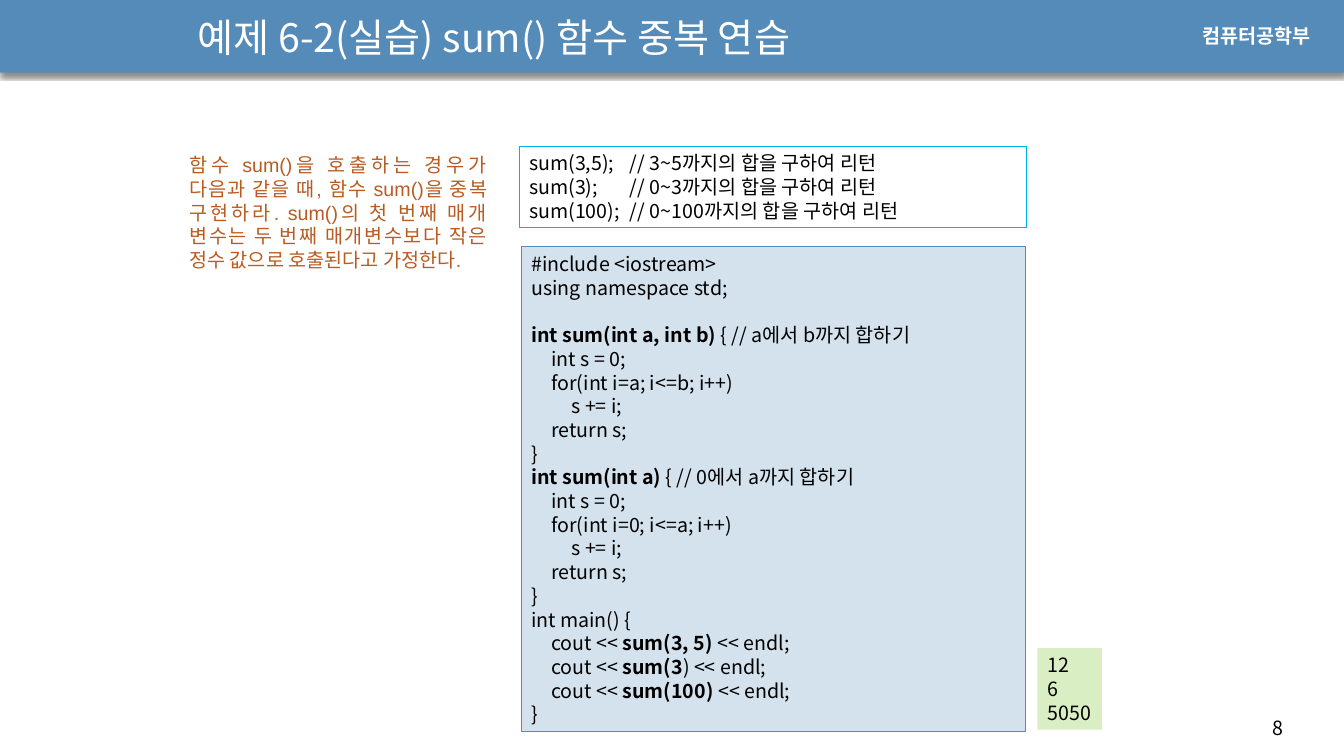
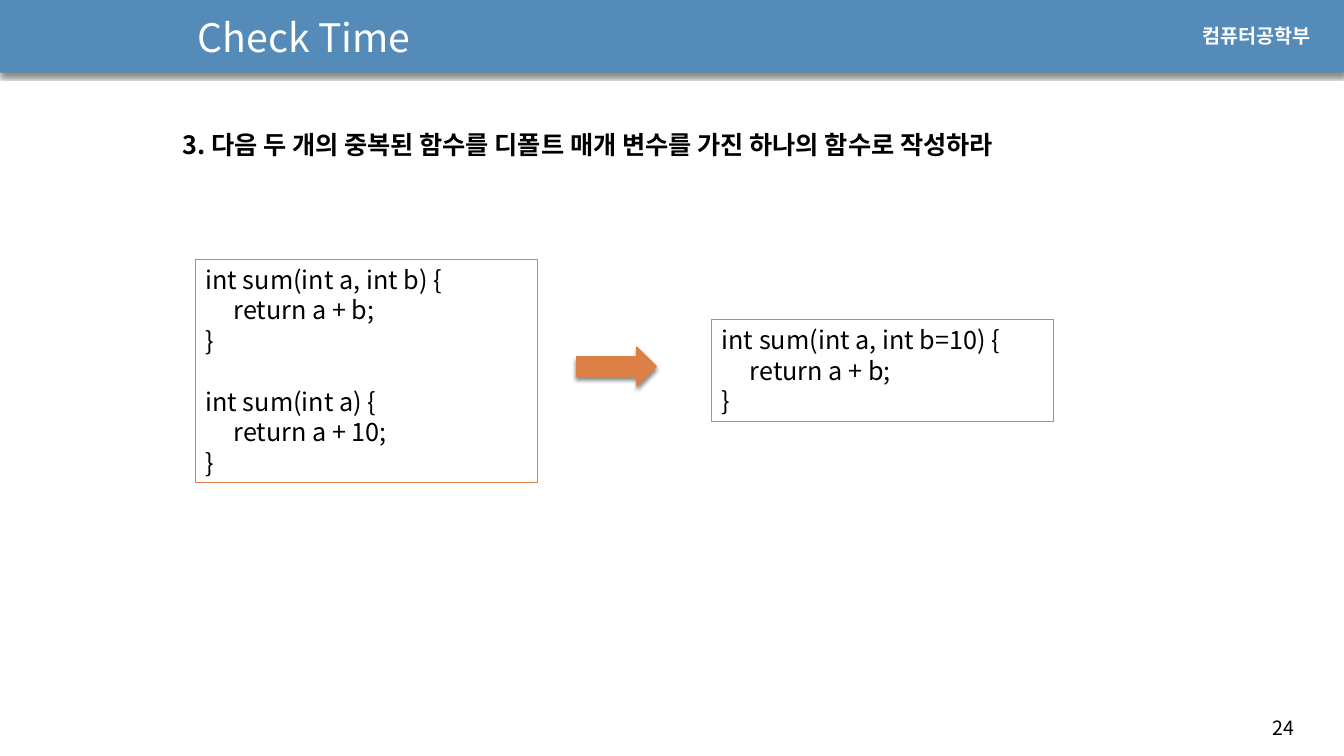
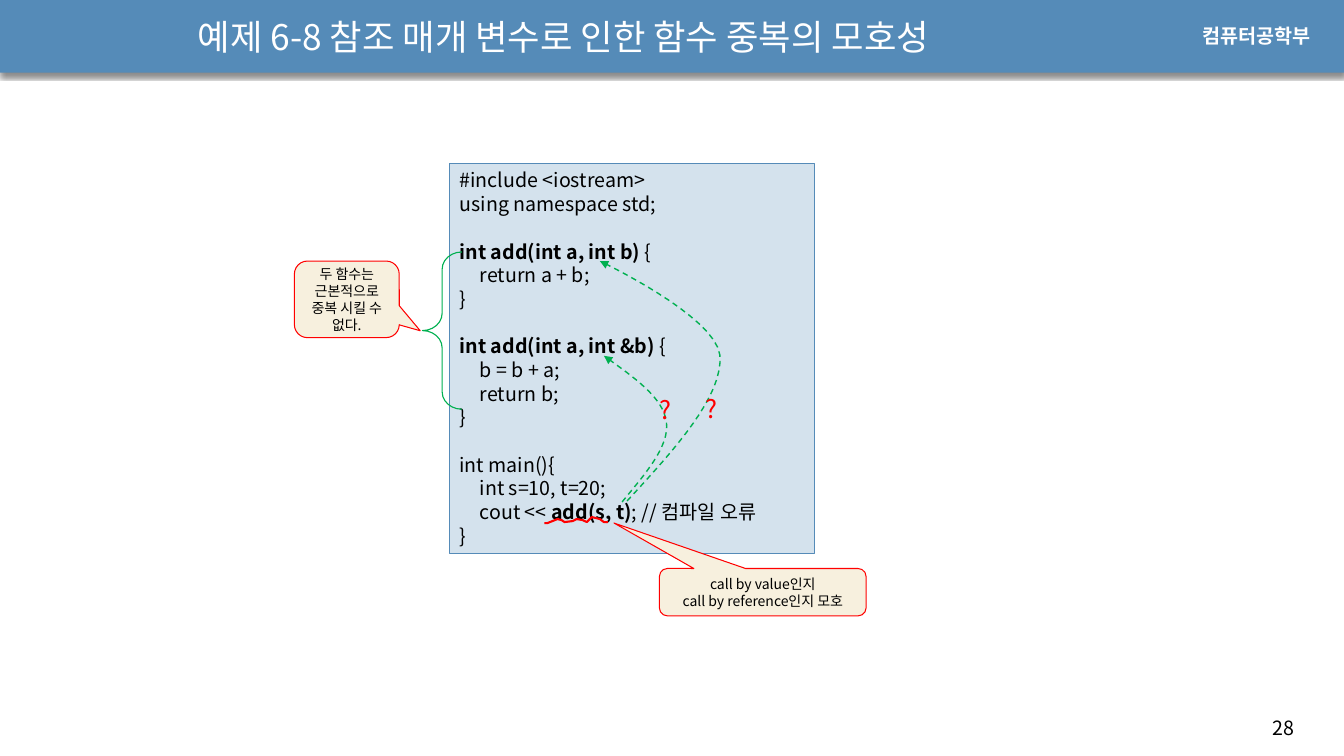
from pptx import Presentation
from pptx.dml.color import RGBColor
from pptx.enum.dml import MSO_LINE
from pptx.enum.shapes import MSO_SHAPE
from pptx.enum.text import MSO_ANCHOR, MSO_AUTO_SIZE, PP_ALIGN
from pptx.oxml import parse_xml
from pptx.oxml.ns import nsdecls
from pptx.util import Inches, Pt

FONT = "Noto Sans CJK KR"
BLACK, WHITE, RED, GREEN = "000000", "FFFFFF", "FF0000", "00B050"
BLUE, PALE_BLUE, SKY = "558BB8", "D4E2ED", "00B0F0"
ORANGE, RUST, CREAM, LIME = "DD8047", "B95B22", "F7F0DE", "DAEEC4"
LINE_PITCH = 1.21
CURVE_STEPS = 16


def color(value):
    """Turn a hex string into a colour."""
    return RGBColor.from_string(value)


def bezier(start, first, second, end):
    """Return the points of a cubic curve after its start."""
    points = []
    for step in range(1, CURVE_STEPS + 1):
        t = step / CURVE_STEPS
        weights = ((1 - t) ** 3, 3 * t * (1 - t) ** 2, 3 * t * t * (1 - t), t ** 3)
        corners = (start, first, second, end)
        points.append(tuple(sum(w * c[axis] for w, c in zip(weights, corners))
                            for axis in (0, 1)))
    return points


class Lecture:
    """The lecture style and the slide being built."""

    def __init__(self):
        """Start an empty wide deck."""
        self.deck = Presentation()
        self.deck.slide_width = Inches(13.33)
        self.deck.slide_height = Inches(7.5)
        self.slide = None

    def begin(self, title, number, width=7.4, size=28):
        """Add a slide with its band, title, department and number."""
        self.slide = self.deck.slides.add_slide(self.deck.slide_layouts[5])
        holder = self.slide.shapes.title
        holder.left, holder.top = Inches(1.86), Inches(0.05)
        holder.width, holder.height = Inches(width), Inches(0.63)
        self.set_lines(holder, [title], size, WHITE, anchor=MSO_ANCHOR.MIDDLE, pitch=None)
        band = self.shape((0, -0.01, 13.33, 0.73), fill=BLUE, shadow=True)
        holder.element.addprevious(band.element)
        self.text((12.52, 7.05, 0.71, 0.34), [str(number)])
        self.text((11.83, 0.19, 1.37, 0.34), ["**컴퓨터공학부**"], ink=WHITE, font="Arial")

    def set_lines(self, box, lines, size=14, ink=BLACK, font=FONT, align=PP_ALIGN.LEFT,
                  anchor=MSO_ANCHOR.TOP, wrap=True, tabs=(), pitch=LINE_PITCH):
        """Fill a box with lines; ** marks bold and an empty line leaves a gap."""
        frame = box.text_frame
        frame.word_wrap = wrap
        frame.auto_size = MSO_AUTO_SIZE.NONE
        frame.vertical_anchor = anchor
        gap = False
        for index, line in enumerate(lines):
            if not line:
                gap = True
                continue
            para = frame.add_paragraph() if index else frame.paragraphs[0]
            if tabs:
                stops = "".join(f'<a:tab pos="{Inches(stop)}" algn="l"/>' for stop in tabs)
                para._p.get_or_add_pPr().append(
                    parse_xml(f'<a:tabLst {nsdecls("a")}>{stops}</a:tabLst>'))
            para.alignment = align
            if pitch:
                para.line_spacing = Pt(size * pitch)
            if gap:
                para.space_before = Pt(size * pitch)
                gap = False
            for part, words in enumerate(line.split("**")):
                if words:
                    self.span(para, words, size, ink, font, part % 2 == 1)

    def span(self, para, words, size, ink, font, bold):
        """Add one formatted run."""
        span = para.add_run()
        span.text = words
        span.font.size = Pt(size)
        span.font.bold = bold
        span.font.color.rgb = color(ink)
        span.font.name = font
        span._r.get_or_add_rPr().append(
            parse_xml(f'<a:ea {nsdecls("a")} typeface="{FONT}"/>'))

    def text(self, place, lines, **style):
        """Add a plain text box."""
        box = self.slide.shapes.add_textbox(*map(Inches, place))
        self.set_lines(box, lines, **style)

    def paint(self, shape, fill, line, weight):
        """Set the fill and outline of a shape without a shadow."""
        shape.shadow.inherit = False
        if fill:
            shape.fill.solid()
            shape.fill.fore_color.rgb = color(fill)
        else:
            shape.fill.background()
        if line:
            shape.line.color.rgb = color(line)
            shape.line.width = Pt(weight)
        else:
            shape.line.fill.background()

    def shape(self, place, kind=MSO_SHAPE.RECTANGLE, fill=None, line=None, weight=0.75,
              adjust=(), shadow=False):
        """Add a preset shape."""
        shape = self.slide.shapes.add_shape(kind, *map(Inches, place))
        for index, value in enumerate(adjust):
            shape.adjustments[index] = value
        self.paint(shape, fill, line, weight)
        if shadow:
            effects = shape.element.spPr.find("{*}effectLst")
            effects.append(parse_xml(
                f'<a:outerShdw {nsdecls("a")} blurRad="{Pt(3)}" dist="{Pt(2.4)}" '
                'dir="5400000" rotWithShape="0"><a:srgbClr val="000000">'
                '<a:alpha val="45000"/></a:srgbClr></a:outerShdw>'))
        return shape

    def panel(self, place, lines, fill=None, line=None, weight=0.75, **style):
        """Add a rectangle holding lines of text."""
        self.set_lines(self.shape(place, fill=fill, line=line, weight=weight), lines, **style)

    def listing(self, place, lines):
        """Add a blue panel of code."""
        self.panel(place, lines, PALE_BLUE, BLUE, tabs=(0.2, 0.4))

    def callout(self, place, lines, adjust):
        """Add a cream speech callout."""
        shape = self.shape(place, MSO_SHAPE.ROUNDED_RECTANGULAR_CALLOUT, CREAM, RED,
                           adjust=adjust)
        self.set_lines(shape, lines, 10, align=PP_ALIGN.CENTER, anchor=MSO_ANCHOR.MIDDLE)

    def stroke(self, points, line, weight):
        """Draw an open outline through points."""
        spots = [(Inches(x), Inches(y)) for x, y in points]
        builder = self.slide.shapes.build_freeform(*spots[0])
        builder.add_line_segments(spots[1:], close=False)
        shape = builder.convert_to_shape()
        self.paint(shape, None, line, weight)
        return shape

    def curved_arrow(self, start, *curves):
        """Draw a dashed green arrow along cubic curves."""
        points = [start]
        for curve in curves:
            points += bezier(points[-1], *curve)
        shape = self.stroke(points, GREEN, 1)
        shape.line.dash_style = MSO_LINE.DASH
        shape.line._get_or_add_ln().append(
            parse_xml(f'<a:tailEnd {nsdecls("a")} type="triangle"/>'))


def overload_practice(lecture):
    """Build the sum() exercise."""
    lecture.begin("예제 6-2(실습) sum() 함수 중복 연습", 8)
    lecture.panel((5.15, 1.45, 5.03, 0.81), [
        "sum(3,5);\t// 3~5까지의 합을 구하여 리턴",
        "sum(3);\t// 0~3까지의 합을 구하여 리턴",
        "sum(100);\t// 0~100까지의 합을 구하여 리턴",
    ], line=SKY, tabs=(1,))
    lecture.listing((5.17, 2.45, 5, 4.81), [
        "#include <iostream>",
        "using namespace std;",
        "",
        "**int sum(int a, int b) **{ // a에서 b까지 합하기",
        "\tint s = 0;",
        "\tfor(int i=a; i<=b; i++)",
        "\t\ts += i;",
        "\treturn s;",
        "}",
        "**int sum(int a) **{ // 0에서 a까지 합하기",
        "\tint s = 0;",
        "\tfor(int i=0; i<=a; i++)",
        "\t\ts += i;",
        "\treturn s;",
        "}",
        "int main() {",
        "\tcout << **sum(3, 5) **<< endl;",
        "\tcout << **sum(3**) << endl;",
        "\tcout << **sum(100) **<< endl;",
        "}",
    ])
    lecture.panel((10.29, 6.43, 0.64, 0.81), ["12", "6", "5050"], LIME, wrap=False)
    lecture.text((1.78, 1.47, 3.15, 1.51), [
        "함수 sum()을 호출하는 경우가 다음과 같을 때, 함수 sum()을 중복 구현하라. "
        "sum()의 첫 번째 매개 변수는 두 번째 매개변수보다 작은 정수 값으로 호출된다고 가정한다.",
    ], ink=RUST, font="Arial", align=PP_ALIGN.JUSTIFY)


def default_parameter(lecture):
    """Build the default parameter check."""
    lecture.begin("Check Time", 24)
    lecture.text((1.71, 1.23, 9.84, 0.55), [
        "**3. 다음 두 개의 중복된 함수를 디폴트 매개 변수를 가진 하나의 함수로 작성하라**",
    ], size=18)
    lecture.panel((1.94, 2.57, 3.39, 2.22), [
        "int sum(int a, int b) {",
        "     return a + b;",
        "}",
        "",
        "int sum(int a) {",
        "     return a + 10;",
        "}",
    ], WHITE, ORANGE, 0.5, size=18)
    lecture.panel((7.06, 3.17, 3.39, 1.01), [
        "int sum(int a, int b=10) {",
        "     return a + b;",
        "}",
    ], WHITE, ORANGE, 0.5, size=18)
    lecture.shape((5.72, 3.44, 0.79, 0.39), MSO_SHAPE.RIGHT_ARROW, ORANGE, ORANGE, 0.79,
                  shadow=True)


def reference_ambiguity(lecture):
    """Build the ambiguous reference example."""
    lecture.begin("예제 6-8 참조 매개 변수로 인한 함수 중복의 모호성", 28, 8.66, 25.2)
    lecture.listing((4.46, 1.62, 3.62, 3.87), [
        "#include <iostream>",
        "using namespace std;",
        "",
        "**int add(int a, int b) **{",
        "\treturn a + b;",
        "}",
        "",
        "**int add(int a, int &b) **{",
        "\tb = b + a;",
        "\treturn b;",
        "}",
        "",
        "int main(){",
        "\tint s=10, t=20;",
        "\tcout << **add(s, t)**; // 컴파일 오류",
        "}",
    ])
    lecture.curved_arrow((6.17, 4.98), ((6.4, 4.7), (6.64, 4.43), (6.61, 4.19)),
                         ((6.58, 3.94), (6.28, 3.74), (5.99, 3.53)))
    lecture.curved_arrow((6.22, 4.97), ((6.7, 4.45), (7.18, 3.92), (7.14, 3.52)),
                         ((7.09, 3.13), (5.95, 2.59), (5.95, 2.59)))
    lecture.callout((6.54, 5.64, 2.05, 0.47),
                    ["call by value인지", "call by reference인지 모호"], (-0.72, -1.46, 0.17))
    for left, top in ((6.44, 3.86), (6.9, 3.85)):
        lecture.text((left, top, 0.32, 0.4), ["?"], size=18, ink=RED, wrap=False)
    lecture.shape((4.19, 2.5, 0.39, 1.56), MSO_SHAPE.LEFT_BRACE, line=GREEN, weight=0.79,
                  adjust=(0.44, 0.5))
    lecture.callout((2.92, 2.59, 1.04, 0.76),
                    ["두 함수는 근본적으로", "중복 시킬 수 없다."], (0.7, 0.41, 0.17))
    lecture.stroke([
        (5.4, 5.19), (5.43, 5.19), (5.48, 5.17), (5.53, 5.15), (5.57, 5.16), (5.6, 5.18),
        (5.68, 5.17), (5.72, 5.15), (5.78, 5.16), (5.82, 5.18), (5.87, 5.13), (5.91, 5.14),
        (5.95, 5.15), (5.99, 5.18), (6.03, 5.18),
    ], RED, 1.5)


def main():
    """Build and save the deck."""
    lecture = Lecture()
    overload_practice(lecture)
    default_parameter(lecture)
    reference_ambiguity(lecture)
    lecture.deck.save("out.pptx")


if __name__ == "__main__":
    main()
